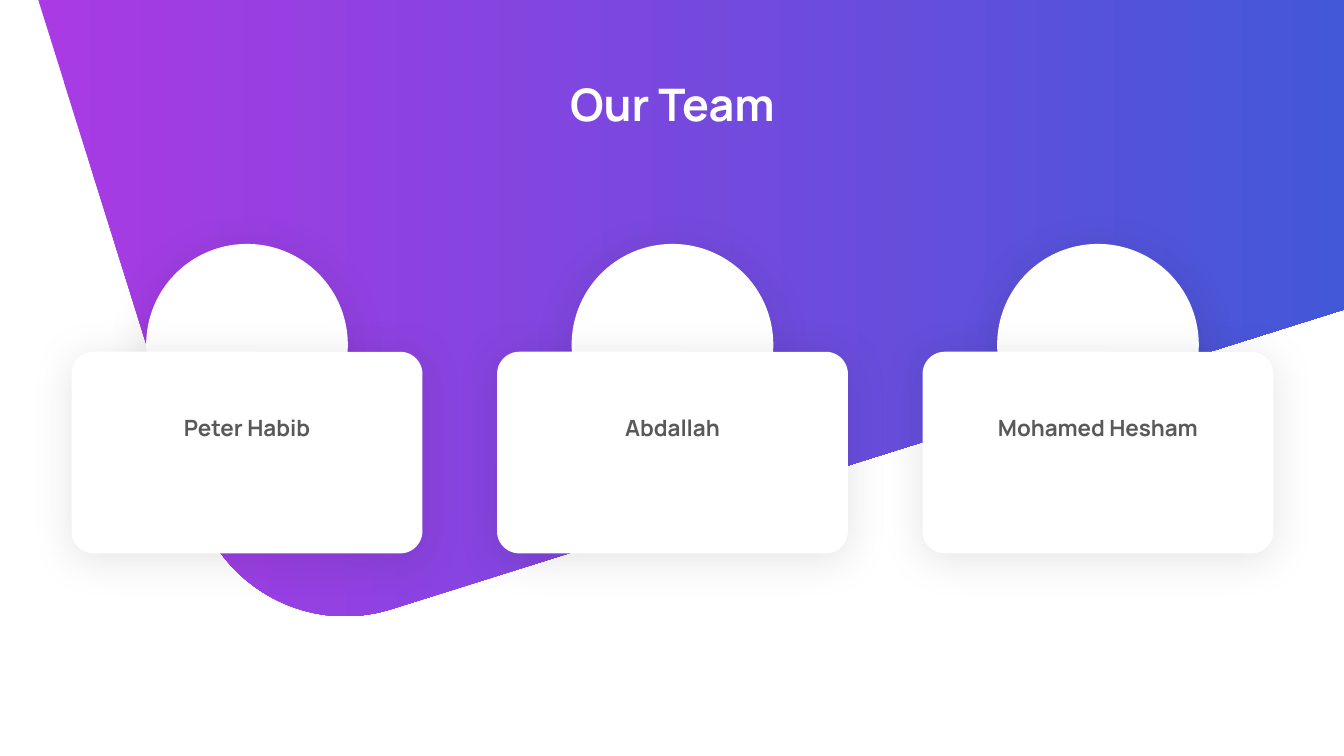
import pptx
import pptx.util
import pptx.dml.color
import pptx.enum.shapes
import pptx.enum.text
import pptx.oxml
from pptx.util import Inches

MEMBERS = ["Peter Habib", "Abdallah", "Mohamed Hesham"]
MIDDLE, CARD_STEP = 6.67, 4.22
SHADOW = (
    '<a:outerShdw xmlns:a="http://schemas.openxmlformats.org/drawingml/2006/main" '
    f'blurRad="{pptx.util.Pt(31)}" dist="{pptx.util.Pt(4)}" dir="5400000" '
    'algn="ctr" rotWithShape="0">'
    '<a:srgbClr val="0D0D0D"><a:alpha val="11000"/></a:srgbClr></a:outerShdw>'
)


def color(value):
    return pptx.dml.color.RGBColor.from_string(value)


def add_label(text, center, top, width, height, size, text_color):
    """Add one centred bold line of text around a horizontal centre."""
    label = slide.shapes.add_textbox(
        Inches(center - width / 2), Inches(top), Inches(width), Inches(height))
    label.text_frame.word_wrap = True
    label.text_frame.auto_size = pptx.enum.text.MSO_AUTO_SIZE.SHAPE_TO_FIT_TEXT
    line = label.text_frame.paragraphs[0]
    line.alignment = pptx.enum.text.PP_ALIGN.CENTER
    run = line.add_run()
    run.text = text
    font_format = {"name": "Manrope", "size": pptx.util.Pt(size), "bold": True}
    for attribute, value in font_format.items():
        setattr(run.font, attribute, value)
    run.font.color.rgb = color(text_color)


presentation = pptx.Presentation()
presentation.slide_width = Inches(13.33)
presentation.slide_height = Inches(7.5)
slide = presentation.slides.add_slide(presentation.slide_layouts[6])

# Gradient backdrop with one rounded corner, sampled along a Bezier curve
corner = [(3.89, 6.04), (3.08, 6.3), (2.22, 5.85), (1.96, 5.04)]
outline = [(13.33, 0), (13.33, 3.07)]
STEPS = 40
for step in range(STEPS + 1):
    t = step / STEPS
    weights = [(1 - t) ** 3, 3 * t * (1 - t) ** 2, 3 * t ** 2 * (1 - t), t ** 3]
    outline.append(tuple(
        sum(weight * point[axis] for weight, point in zip(weights, corner))
        for axis in (0, 1)))
builder = slide.shapes.build_freeform(Inches(0.38), Inches(0))
builder.add_line_segments([(Inches(x), Inches(y)) for x, y in outline], close=True)
backdrop = builder.convert_to_shape()
backdrop.shadow.inherit = False
backdrop.line.fill.background()
backdrop.fill.gradient()
backdrop.fill.gradient_angle = 0
for stop, position, stop_color in zip(
        backdrop.fill.gradient_stops, (0, 1), ("A93AE4", "4358D7")):
    stop.position = position
    stop.color.rgb = color(stop_color)

# Team cards: a portrait disc behind a rounded panel, with the name on top
PRESETS = pptx.enum.shapes.MSO_SHAPE
CARD_PARTS = [(PRESETS.OVAL, 2.42, 2), (PRESETS.ROUNDED_RECTANGLE, 3.49, 3.48)]
for index, member in enumerate(MEMBERS):
    center = MIDDLE + (index - 1) * CARD_STEP
    for preset, top, width in CARD_PARTS:
        part = slide.shapes.add_shape(
            preset, Inches(center - width / 2), Inches(top), Inches(width), Inches(2))
        if preset == PRESETS.ROUNDED_RECTANGLE:
            part.adjustments[0] = 0.11
        part.fill.solid()
        part.fill.fore_color.rgb = color("FFFFFF")
        part.line.fill.background()
        part.shadow.inherit = False
        effects = part.element.spPr.find(pptx.oxml.ns.qn("a:effectLst"))
        effects.append(pptx.oxml.parse_xml(SHADOW))
    add_label(member, center, 4.06, 2.58, 0.37, 16, "595959")

add_label("Our Team", MIDDLE, 0.71, 5.62, 0.64, 32, "FFFFFF")

presentation.save("out.pptx")
